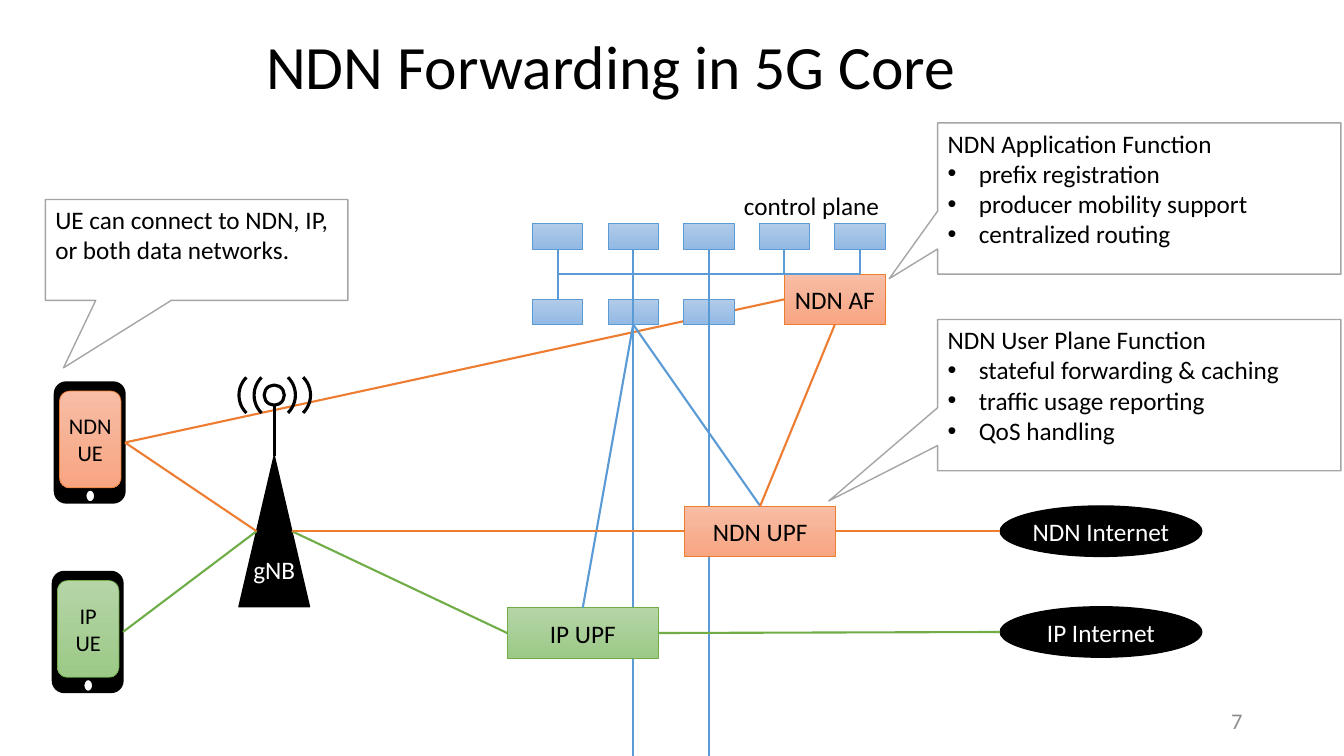
import pptx
import pptx.util
import pptx.dml.color
import pptx.enum.shapes
import pptx.enum.text
import pptx.oxml.ns
from lxml import etree

RGB = pptx.dml.color.RGBColor
SHAPE = pptx.enum.shapes.MSO_SHAPE
ALIGN = pptx.enum.text.PP_ALIGN
ANCHOR = pptx.enum.text.MSO_ANCHOR
Pt = pptx.util.Pt
qn = pptx.oxml.ns.qn

BLACK, WHITE = RGB(0, 0, 0), RGB(0xFF, 0xFF, 0xFF)
GRAY, NUMBER_GRAY = RGB(0xA5, 0xA5, 0xA5), RGB(0x8C, 0x8C, 0x8C)
BLUE, ORANGE, GREEN = RGB(0x5B, 0x9B, 0xD5), RGB(0xED, 0x7D, 0x31), RGB(0x70, 0xAD, 0x47)
TINTS = {
    BLUE: (RGB(0xB1, 0xCB, 0xE9), RGB(0x93, 0xB9, 0xE4)),
    ORANGE: (RGB(0xF7, 0xBD, 0xA5), RGB(0xF8, 0xA5, 0x82)),
    GREEN: (RGB(0xB5, 0xD5, 0xA7), RGB(0x9C, 0xC9, 0x87)),
}
FONT = "Calibri"
TOP, LEFT, BOTTOM, RIGHT = range(4)
COLS, ROWS = 13.33, 7.5  # grid cells are one inch square


def grid(*cells):
    return [pptx.util.Inches(c) for c in cells]


def write(sp, text, size=18, color=BLACK, align=ALIGN.LEFT, anchor=ANCHOR.MIDDLE, wrap=True):
    tf = sp.text_frame
    tf.text = text
    tf.word_wrap = wrap
    tf.vertical_anchor = anchor
    for p in tf.paragraphs:
        p.alignment = align
        for r in p.runs:
            r.font.name, r.font.size, r.font.color.rgb = FONT, Pt(size), color


def add_shape(s, kind, box, fill=None, line=BLACK, width=1):
    sp = s.shapes.add_shape(kind, *grid(*box))
    sp.shadow.inherit = False
    if fill is None:
        sp.fill.background()
    else:
        sp.fill.solid()
        sp.fill.fore_color.rgb = fill
    sp.line.color.rgb = line
    sp.line.width = Pt(width)
    return sp


def add_tinted(s, box, color, text="", size=18, kind=SHAPE.RECTANGLE, wrap=True):
    """Box with a vertical gradient in the tints of its outline colour."""
    sp = add_shape(s, kind, box, WHITE, color, 0.5)
    sp.fill.gradient()
    sp.fill.gradient_angle = 270
    for stop, tint in zip(sp.fill.gradient_stops, TINTS[color]):
        stop.color.rgb = tint
    if text:
        write(sp, text, size, align=ALIGN.CENTER, wrap=wrap)
    return sp


def add_line(s, start, end, color, width=1.5):
    """Straight line; each end is a grid point or a (shape, side) pair to join."""
    joined = [hasattr(e[0], "shape_id") for e in (start, end)]
    points = [(0, 0) if j else e for j, e in zip(joined, (start, end))]
    cn = s.shapes.add_connector(pptx.enum.shapes.MSO_CONNECTOR.STRAIGHT,
                                *grid(*points[0], *points[1]))
    if joined[0]:
        cn.begin_connect(*start)
    if joined[1]:
        cn.end_connect(*end)
    cn.line.color.rgb = color
    cn.line.width = Pt(width)
    etree.SubElement(cn._element.spPr, qn("a:effectLst"))


def add_heading(s):
    title = s.shapes.title
    title.left, title.top, title.width, title.height = grid(2.54, 0.15, 9.88, 1.07)
    write(title, "NDN Forwarding in 5G Core", 44)
    title.text_frame.paragraphs[0].line_spacing = 0.9
    number = s.shapes.add_textbox(*grid(9.42, 6.95, 3, 0.4))
    write(number, "7", 16, NUMBER_GRAY, ALIGN.RIGHT)


def add_phone(s, x, y, color, text):
    body = add_shape(s, SHAPE.ROUNDED_RECTANGLE, (x, y, 0.7, 1.2), BLACK)
    add_tinted(s, (x + 0.05, y + 0.09, 0.61, 0.96), color, text, 16,
               SHAPE.ROUNDED_RECTANGLE, wrap=False)
    add_shape(s, SHAPE.OVAL, (x + 0.31, y + 1.07, 0.09, 0.12), WHITE)
    return body


def add_control_plane(s, x, y):
    """Two rows of boxes on a shared bus; returns the box joined to the UPFs."""
    pitch, w, h = 0.75, 0.5, 0.25
    bus = y + 2 * h
    upper = [add_tinted(s, (x + i * pitch, y, w, h), BLUE) for i in range(5)]
    lower = [add_tinted(s, (x + i * pitch, y + pitch, w, h), BLUE) for i in range(3)]
    centers = [x + w / 2 + i * pitch for i in range(5)]
    add_line(s, (centers[0], bus), (centers[-1], bus), BLUE)
    for i in (0, 3, 4):
        add_line(s, (upper[i], BOTTOM), (centers[i], bus), BLUE)
    for i, sp in enumerate(lower):
        add_line(s, (centers[i], bus), (sp, TOP), BLUE)
    for i in (1, 2):
        add_line(s, (upper[i], BOTTOM), (centers[i], ROWS), BLUE)
    label = s.shapes.add_textbox(*grid(x + 2, y - 0.38, 1.56, 0.4))
    write(label, "control plane", anchor=ANCHOR.TOP, wrap=False)
    return lower[1]


def add_tower(s, x, y):
    """Base station with its antenna; returns the middles of its left and right sides."""
    w, h, mast = 0.7, 1.5, 0.85
    cx, base = x + w / 2, y + mast
    sp = add_shape(s, SHAPE.ISOSCELES_TRIANGLE, (x, base, w, h), BLACK)
    write(sp, "gNB", color=WHITE, align=ALIGN.CENTER, wrap=False)
    add_line(s, (cx, base - 0.5), (cx, base), BLACK, 2.25)
    add_shape(s, SHAPE.OVAL, (cx - 0.1, base - 0.7, 0.2, 0.2), WHITE, width=2.25)
    for dx, angle in ((0, 225), (0.15, 225), (0.06, 45), (0.21, 45)):
        arc = add_shape(s, SHAPE.ARC, (x + dx, y, 0.5, 0.5), width=2.25)
        arc.rotation = angle
    return (x + w / 4, base + h / 2), (x + w * 3 / 4, base + h / 2)


def add_cloud(s, x, y, text):
    sp = add_shape(s, SHAPE.OVAL, (x, y, 2, 0.5), BLACK)
    write(sp, text, color=WHITE, align=ALIGN.CENTER, wrap=False)
    return x, y + 0.25


def add_callout(s, box, tip, text, bullets=()):
    sp = add_shape(s, SHAPE.RECTANGULAR_CALLOUT, box, WHITE, GRAY)
    sp.adjustments[0], sp.adjustments[1] = tip
    write(sp, "\n".join((text, *bullets)), anchor=ANCHOR.TOP)
    for p in sp.text_frame.paragraphs[1:]:
        pPr = p._p.get_or_add_pPr()
        indent = pptx.util.Inches(0.31)
        pPr.set("marL", str(indent))
        pPr.set("indent", str(-indent))
        etree.SubElement(pPr, qn("a:buFont"), typeface="Arial")
        etree.SubElement(pPr, qn("a:buChar"), char="•")


def add_network(s):
    ndn_ue = add_phone(s, 0.54, 3.79, ORANGE, "NDN\nUE")
    ip_ue = add_phone(s, 0.52, 5.67, GREEN, "IP\nUE")
    ndn_af = add_tinted(s, (7.78, 2.72, 1, 0.5), ORANGE, "NDN AF")
    add_line(s, (ndn_ue, RIGHT), (ndn_af, LEFT), ORANGE)
    control = add_control_plane(s, 5.28, 2.22)
    gnb_left, gnb_right = add_tower(s, 2.37, 3.67)
    ip_upf = add_tinted(s, (5.03, 6.03, 1.5, 0.5), GREEN, "IP UPF")
    ndn_upf = add_tinted(s, (6.79, 5.02, 1.5, 0.5), ORANGE, "NDN UPF")
    ip_net = add_cloud(s, 9.92, 6.02, "IP Internet")
    ndn_net = add_cloud(s, 9.92, 5.02, "NDN Internet")
    for upf in (ip_upf, ndn_upf):
        add_line(s, (control, BOTTOM), (upf, TOP), BLUE)
    add_line(s, (ndn_af, BOTTOM), (ndn_upf, TOP), ORANGE)
    for ue, upf, net, color in ((ip_ue, ip_upf, ip_net, GREEN),
                                (ndn_ue, ndn_upf, ndn_net, ORANGE)):
        add_line(s, (ue, RIGHT), gnb_left, color)
        add_line(s, gnb_right, (upf, LEFT), color)
        add_line(s, (upf, RIGHT), net, color)


def main():
    prs = pptx.Presentation()
    prs.slide_width, prs.slide_height = grid(COLS, ROWS)
    s = prs.slides.add_slide(prs.slide_layouts[5])
    add_heading(s)
    add_network(s)
    add_callout(s, (0.45, 1.98, 3, 1), (-0.44, 1.17),
                "UE can connect to NDN, IP, or both data networks.")
    add_callout(s, (9.3, 1.22, 4, 1.5), (-0.62, 0.53), "NDN Application Function",
                ("prefix registration", "producer mobility support", "centralized routing"))
    add_callout(s, (9.3, 3.17, 4, 1.5), (-0.77, 0.7), "NDN User Plane Function",
                ("stateful forwarding & caching", "traffic usage reporting", "QoS handling"))
    prs.save("out.pptx")


if __name__ == "__main__":
    main()
